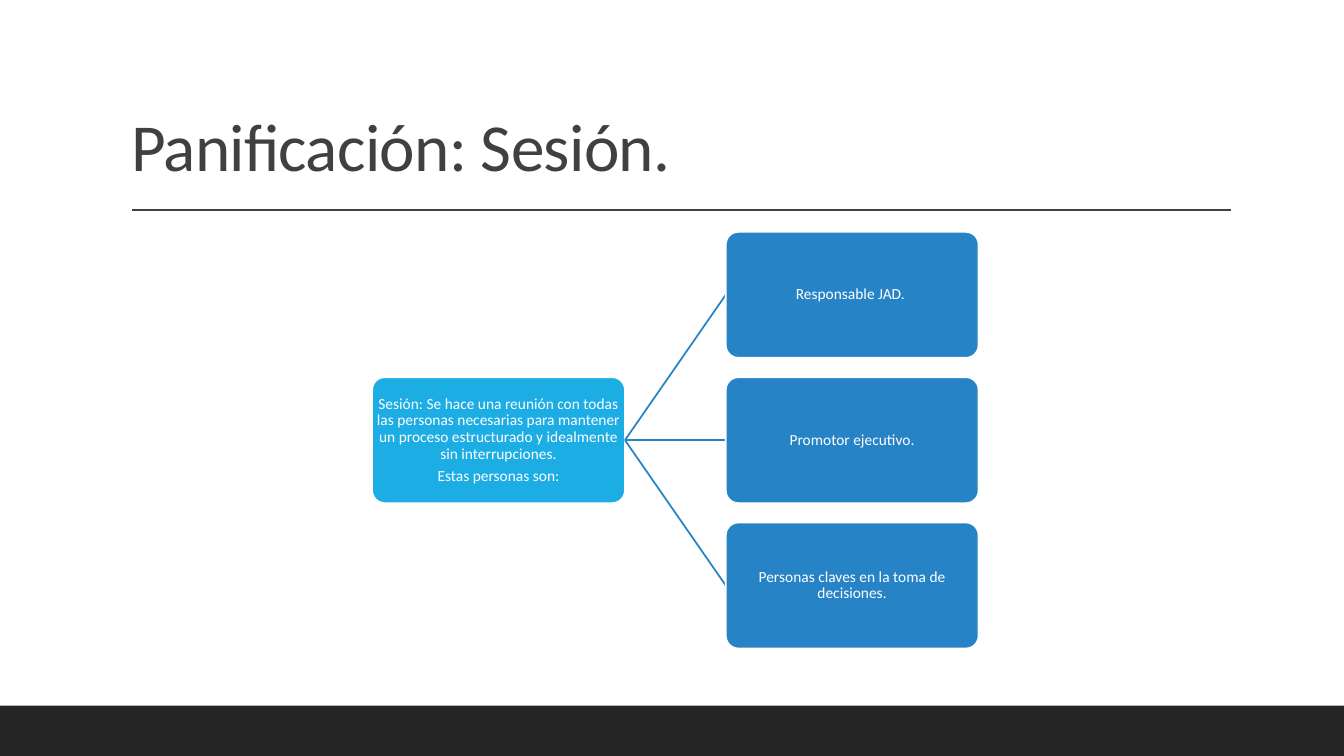
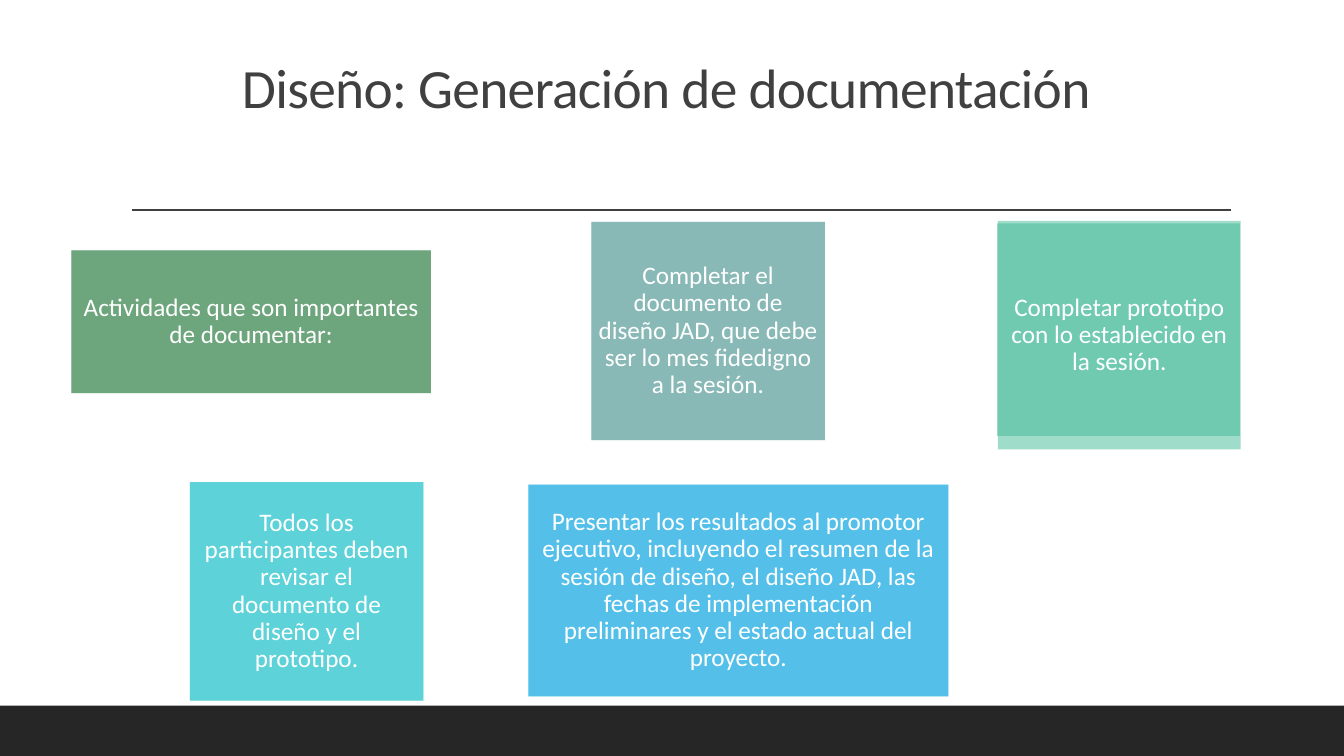
from lxml import etree
from pptx import Presentation
from pptx.dml.color import RGBColor
from pptx.enum.shapes import MSO_CONNECTOR, MSO_SHAPE
from pptx.enum.text import MSO_ANCHOR, MSO_AUTO_SIZE, PP_ALIGN
from pptx.oxml.ns import qn
from pptx.util import Inches, Pt

RECT, ROUNDED = MSO_SHAPE.RECTANGLE, MSO_SHAPE.ROUNDED_RECTANGLE
STRAIGHT = MSO_CONNECTOR.STRAIGHT
LEFT, CENTER = PP_ALIGN.LEFT, PP_ALIGN.CENTER
MIDDLE, BOTTOM = MSO_ANCHOR.MIDDLE, MSO_ANCHOR.BOTTOM
LEFT_SIDE, RIGHT_SIDE = 1, 3

FONT = "Calibri"
COLORS = {
    "white": "FFFFFF", "title": "404040", "band": "262626",
    "root": "1CADE4", "branch": "2683C6",
    "green": "3E8853", "teal": "62A39F", "mint": "42BA97",
    "turquoise": "28C4CC", "sky": "1CADE4",
}

# The slide is a grid of square cells
COLUMNS, ROWS = 16, 9
CELL = Inches(7.5) / ROWS

# Tree: first box, box size and distance from box to box, in cells
TREE_LEFT, TREE_TOP = 4.43, 2.76
NODE_WIDTH, NODE_HEIGHT = 3.01, 1.5
LEVEL_STEP, BRANCH_STEP = 4.21, 1.73

ROOT_TEXT = [
    "Sesión: Se hace una reunión con todas las personas necesarias para mantener "
    "un proceso estructurado y idealmente sin interrupciones.",
    "Estas personas son:",
]
BRANCH_TEXTS = [
    "Responsable JAD. ",
    "Promotor ejecutivo.",
    "Personas claves en la toma de decisiones.",
]

# Tiles: text, colour, text inset in inches, back area, front area (None: same)
TILES = [
    ("Completar el documento de diseño JAD, que debe ser lo mes fidedigno a la sesión.",
     "teal", 0.06, (7.04, 2.64, 2.78, 2.6), None),
    ("Completar prototipo con lo establecido en la sesión.",
     "mint", 0.07, (11.87, 2.66, 2.89, 2.53), (11.88, 2.63, 2.89, 2.72)),
    ("Todos los participantes deben revisar el documento de diseño y el prototipo.",
     "turquoise", 0.1, (2.26, 5.74, 2.78, 2.6), None),
    ("Presentar los resultados al promotor ejecutivo, incluyendo el resumen de la "
     "sesión de diseño, el diseño JAD, las fechas de implementación preliminares y "
     "el estado actual del proyecto.",
     "sky", 0.11, (6.29, 5.77, 5, 2.52), None),
    ("Actividades que son importantes de documentar:",
     "green", 0.07, (0.85, 2.98, 4.28, 1.7), None),
]


def cells(*counts):
    return [round(count * CELL) for count in counts]


def rgb(name):
    return RGBColor.from_string(COLORS[name])


def write(shape, paragraphs, size, color="white", align=CENTER, anchor=MIDDLE,
          inset=None, spacing=None):
    frame = shape.text_frame
    frame.word_wrap = True
    frame.auto_size = MSO_AUTO_SIZE.NONE
    frame.vertical_anchor = anchor
    if inset is not None:
        frame.margin_left = frame.margin_right = Inches(inset)
        frame.margin_top = frame.margin_bottom = Inches(inset)
    frame.text = "\n".join(paragraphs)
    for paragraph in frame.paragraphs:
        paragraph.alignment = align
        paragraph.line_spacing = 0.9
        paragraph.space_after = Pt(0.35 * size)
        for run in paragraph.runs:
            run.font.name = FONT
            run.font.size = Pt(size)
            run.font.color.rgb = rgb(color)
            if spacing is not None:
                run._r.get_or_add_rPr().set("spc", str(round(spacing * 100)))


def add_box(slide, area, fill, kind=RECT, outline=None, opacity=None):
    box = slide.shapes.add_shape(kind, *cells(*area))
    box.shadow.inherit = False
    box.fill.solid()
    box.fill.fore_color.rgb = rgb(fill)
    if opacity is not None:
        color = box.fill._xPr.find(qn("a:solidFill")).find(qn("a:srgbClr"))
        etree.SubElement(color, qn("a:alpha")).set("val", str(round(opacity * 100000)))
    if outline:
        box.line.color.rgb = rgb(outline)
        box.line.width = Pt(1.25)
    else:
        box.line.fill.background()
    return box


def add_line(slide, ends, color, width):
    line = slide.shapes.add_connector(STRAIGHT, *cells(*ends))
    line.line.color.rgb = rgb(color)
    line.line.width = Pt(width)
    etree.SubElement(line._element.spPr, qn("a:effectLst"))
    return line


def add_titled_slide(deck, text, area, size, align):
    slide = deck.slides.add_slide(deck.slide_layouts[5])
    # Footer band and rule under the title
    add_box(slide, (0, 8.4, COLUMNS, 0.6), "band")
    add_line(slide, (1.57, 2.5, 14.65, 2.5), "title", 1)
    title = slide.shapes.title
    title.left, title.top, title.width, title.height = cells(*area)
    write(title, [text], size, color="title", align=align, anchor=BOTTOM, spacing=-0.5)
    return slide


def add_node(slide, level, row, paragraphs, fill):
    area = (TREE_LEFT + level * LEVEL_STEP, TREE_TOP + row * BRANCH_STEP,
            NODE_WIDTH, NODE_HEIGHT)
    node = add_box(slide, area, fill, kind=ROUNDED, outline="white")
    node.adjustments[0] = 0.1
    write(node, paragraphs, 11, inset=0.01)
    return node


def add_tree(slide):
    root = add_node(slide, 0, 1, ROOT_TEXT, "root")
    for row, text in enumerate(BRANCH_TEXTS):
        # The link lies behind the outline of its branch
        link = add_line(slide, (0, 0, 0, 0), "branch", 1.25)
        branch = add_node(slide, 1, row, [text], "branch")
        link.begin_connect(root, RIGHT_SIDE)
        link.end_connect(branch, LEFT_SIDE)


def add_tile(slide, text, color, inset, back, front):
    add_box(slide, back, color, opacity=0.5)
    tile = add_box(slide, front or back, color, opacity=0.5)
    write(tile, [text], 18, inset=inset)


def main():
    deck = Presentation()
    deck.slide_width, deck.slide_height = cells(COLUMNS, ROWS)

    # Session and its participants
    session = add_titled_slide(deck, "Panificación: Sesión.",
                               (1.44, 0.37, 13.2, 1.91), 48, LEFT)
    add_tree(session)

    # Documentation activities
    documentation = add_titled_slide(deck, "Diseño: Generación de documentación ",
                                     (1.7, 0, 12.6, 1.5), 39.6, CENTER)
    for tile in TILES:
        add_tile(documentation, *tile)

    deck.save("out.pptx")


if __name__ == "__main__":
    main()
